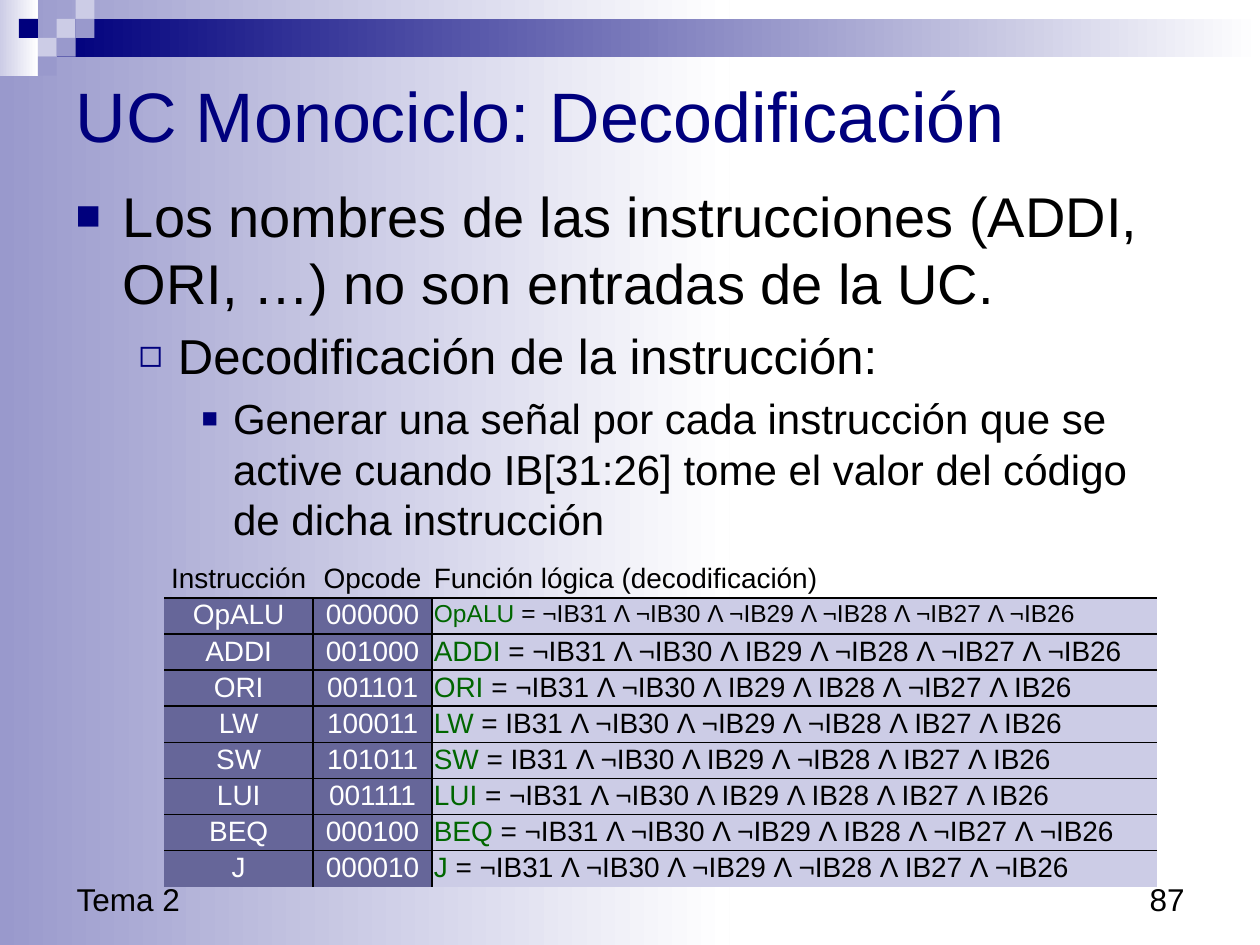
import pptx
import pptx.util
import pptx.dml.color
import pptx.enum.shapes
import pptx.enum.text
import pptx.oxml
import pptx.oxml.ns

Pt = pptx.util.Pt
ALIGN = pptx.enum.text.PP_ALIGN
ANCHOR = pptx.enum.text.MSO_ANCHOR

THEME = {
    "font": "Arial",
    "navy": "00007D", "violet": "9999CC", "lavender": "CCCCE6", "white": "FFFFFF",
    "ink": "000000", "green": "006600", "slate": "666699",
    "title": 40, "levels": (32, 28, 24), "footer": 18, "cell": 16, "small_cell": 14,
}

TITLE = "UC Monociclo: Decodificación"
BULLETS = [
    "Los nombres de las instrucciones (ADDI, ORI, …) no son entradas de la UC.",
    "Decodificación de la instrucción:",
    "Generar una señal por cada instrucción que se active cuando IB[31:26] "
    "tome el valor del código de dicha instrucción",
]
# bullet sign, size in percent, left margin, hanging indent
BULLET_STYLES = [("■", 75, 27, 27), ("◻", 80, 58.5, 22.5), ("■", 65, 90, 18)]
HEADERS = ["Instrucción", "Opcode", "Función lógica (decodificación)"]
OPCODES = [
    ("OpALU", "000000"), ("ADDI", "001000"), ("ORI", "001101"), ("LW", "100011"),
    ("SW", "101011"), ("LUI", "001111"), ("BEQ", "000100"), ("J", "000010"),
]
FOOTERS = [("Tema 2", 36.7, 228, ALIGN.LEFT), ("87", 516, 168, ALIGN.RIGHT)]

# left, top, width, height, start colour
GRADIENT_BANDS = [
    (0, 0, 417, 540, "violet"),
    (0, 0, 21.6, 43.2, "lavender"),
    (32.4, 10.8, 687.6, 21.6, "navy"),
]
TILE = 10.8
TILES = [  # column, row, colour
    (3, 1, "lavender"), (4, 0, "lavender"), (4, 1, "violet"), (2, 2, "lavender"),
    (1, 1, "navy"), (3, 2, "violet"), (2, 3, "violet"),
]
TABLE_LEFT, TABLE_TOP, ROW_HEIGHT, CELL_INSET = 93.9, 321, 20.64, 1.1
COLUMN_WIDTHS = (85, 68, 414)


def rgb(name):
    return pptx.dml.color.RGBColor.from_string(THEME[name])


def add_text(paragraph, text, size, color="ink", align=ALIGN.LEFT, before=0):
    paragraph.alignment = align
    paragraph.space_before = Pt(before)
    run = paragraph.add_run()
    run.text = text
    run.font.name = THEME["font"]
    run.font.size = Pt(size)
    run.font.color.rgb = rgb(color)


def place(shape, left, top, width, height):
    shape.left, shape.top, shape.width, shape.height = map(Pt, (left, top, width, height))


def add_block(slide, left, top, width, height, color, fade=False):
    block = slide.shapes.add_shape(pptx.enum.shapes.MSO_SHAPE.RECTANGLE,
                                   *map(Pt, (left, top, width, height)))
    block.shadow.inherit = False
    block.line.fill.background()
    if fade:
        block.fill.gradient()
        block.fill.gradient_angle = 0
        for stop, position, stop_color in zip(block.fill.gradient_stops, (0, 1), (color, "white")):
            stop.position = position
            stop.color.rgb = rgb(stop_color)
    else:
        block.fill.solid()
        block.fill.fore_color.rgb = rgb(color)


def add_xml(parent, xml):
    tag, rest = xml.split(" ", 1)
    parent.append(pptx.oxml.parse_xml(f"<a:{tag} {pptx.oxml.ns.nsdecls('a')} {rest}"))


def set_bullet(paragraph, sign, percent, margin, hanging):
    properties = paragraph._p.get_or_add_pPr()
    properties.set("marL", str(Pt(margin)))
    properties.set("indent", str(-Pt(hanging)))
    add_xml(properties, f'buClr ><a:srgbClr val="{THEME["navy"]}"/></a:buClr>')
    add_xml(properties, f'buSzPct val="{percent * 1000}"/>')
    add_xml(properties, f'buFont typeface="{THEME["font"]}"/>')
    add_xml(properties, f'buChar char="{sign}"/>')


def set_borders(cell, drawn):
    """Draw the sides named in drawn (L, R, T, B) and clear the others."""
    line = f'<a:solidFill><a:srgbClr val="{THEME["ink"]}"/></a:solidFill>'
    properties = cell._tc.get_or_add_tcPr()
    for side in "LRTB":
        add_xml(properties, f'ln{side} w="{Pt(1)}">'
                f'{line if side in drawn else "<a:noFill/>"}</a:ln{side}>')


def logic_terms(opcode):
    """Negate each instruction bit whose opcode digit is 0."""
    return " Λ ".join(("" if digit == "1" else "¬") + f"IB{31 - i}"
                      for i, digit in enumerate(opcode))


def fill_table(slide):
    row_count = len(OPCODES) + 1
    table = slide.shapes.add_table(row_count, len(HEADERS), Pt(TABLE_LEFT), Pt(TABLE_TOP),
                                   Pt(sum(COLUMN_WIDTHS)), Pt(ROW_HEIGHT * row_count)).table
    table.first_row = table.horz_banding = False
    for column, width in zip(table.columns, COLUMN_WIDTHS):
        column.width = Pt(width)

    rows = [[[(header, "ink")] for header in HEADERS]]
    for name, opcode in OPCODES:
        rows.append([[(name, "white")], [(opcode, "white")],
                     [(name, "green"), (" = " + logic_terms(opcode), "ink")]])
    for r, row in enumerate(rows):
        table.rows[r].height = Pt(ROW_HEIGHT)
        for c, pieces in enumerate(row):
            cell = table.cell(r, c)
            cell.margin_left = cell.margin_right = Pt(CELL_INSET)
            cell.margin_top = cell.margin_bottom = Pt(CELL_INSET)
            size = THEME["small_cell"] if (r, c) == (1, 2) else THEME["cell"]
            for text, color in pieces:
                add_text(cell.text_frame.paragraphs[0], text, size, color, before=size * 0.2,
                         align=ALIGN.LEFT if c == 2 else ALIGN.CENTER)
            set_borders(cell, ("T" if r > 0 else "") + ("B" if r < row_count - 1 else "")
                        + ("L" if r > 0 and c > 0 else "") + ("R" if r > 0 and c < 2 else ""))
            if r == 0:
                cell.fill.background()
            else:
                cell.fill.solid()
                cell.fill.fore_color.rgb = rgb("lavender" if c == 2 else "slate")


def main():
    deck = pptx.Presentation()
    deck.slide_width, deck.slide_height = Pt(720), Pt(540)
    slide = deck.slides.add_slide(deck.slide_layouts[1])
    title, body = slide.placeholders

    for band in GRADIENT_BANDS:
        add_block(slide, *band, fade=True)
    for column, row, color in TILES:
        add_block(slide, column * TILE, row * TILE, TILE, TILE, color)

    for text, left, width, align in FOOTERS:
        footer = slide.shapes.add_textbox(Pt(left), Pt(492), Pt(width), Pt(36)).text_frame
        footer.word_wrap = True
        footer.vertical_anchor = ANCHOR.BOTTOM
        add_text(footer.paragraphs[0], text, THEME["footer"], align=align)

    for placeholder in (title, body):  # in front of the background blocks
        slide.shapes._spTree.append(placeholder._element)
        placeholder.text_frame.auto_size = pptx.enum.text.MSO_AUTO_SIZE.NONE
    place(title, 36, 36, 648, 58.3)
    title.text_frame.vertical_anchor = ANCHOR.MIDDLE
    add_text(title.text_frame.paragraphs[0], TITLE, THEME["title"], "navy")

    place(body, 36, 100, 648, 408)
    for level, (text, style) in enumerate(zip(BULLETS, BULLET_STYLES)):
        frame = body.text_frame
        paragraph = frame.add_paragraph() if level else frame.paragraphs[0]
        paragraph.level = level
        size = THEME["levels"][level]
        add_text(paragraph, text, size, before=size * 0.2)
        set_bullet(paragraph, *style)

    fill_table(slide)
    deck.save("out.pptx")


if __name__ == "__main__":
    main()
